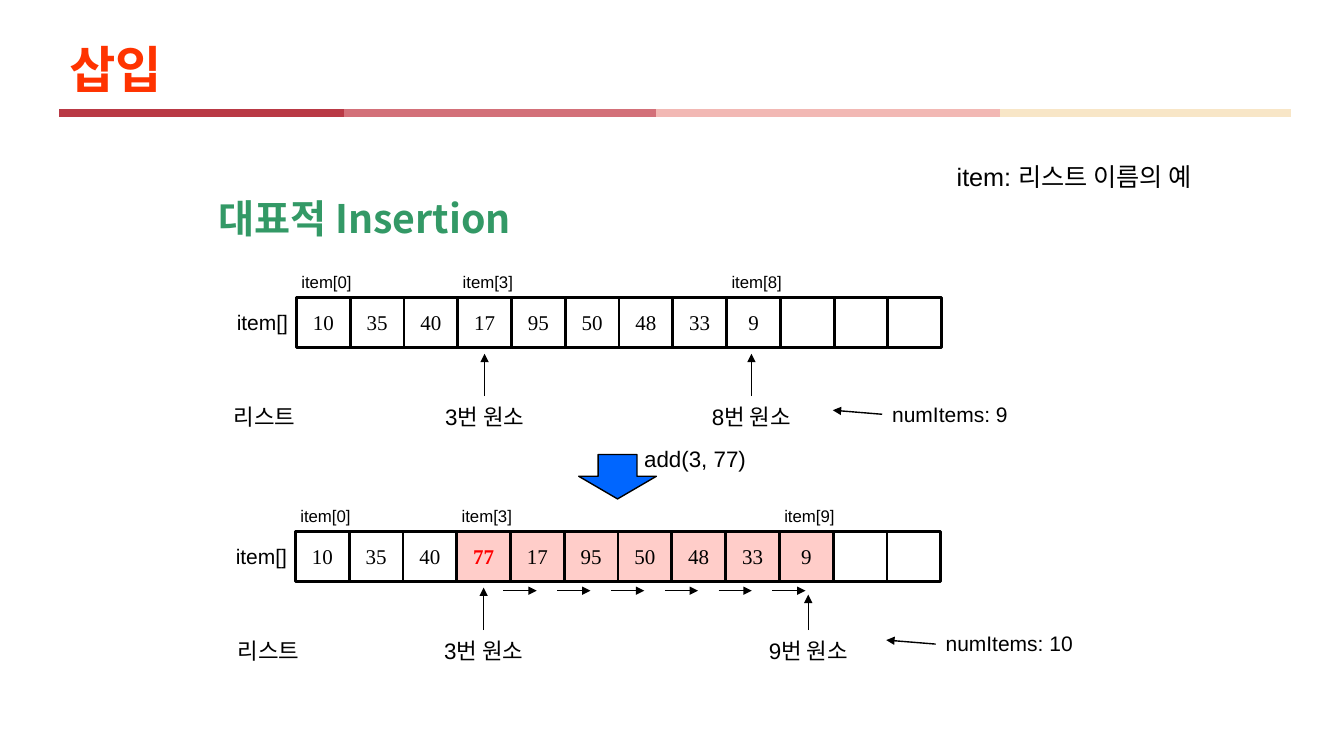
import pptx
import pptx.util
import pptx.dml.color
import pptx.enum.shapes
import pptx.enum.text
import pptx.oxml
import pptx.oxml.ns

Inches = pptx.util.Inches
Shape = pptx.enum.shapes.MSO_SHAPE
Align = pptx.enum.text.PP_ALIGN
Anchor = pptx.enum.text.MSO_ANCHOR
Fit = pptx.enum.text.MSO_AUTO_SIZE
Tag = pptx.oxml.ns.qn

HANGUL = "Noto Sans CJK KR"
BLACK = "000000"
PINK = "FFCDC9"
CELL = 6.4 / 12
CELL_TALL = 0.5
SLOTS = 12


def color(code):
    return pptx.dml.color.RGBColor.from_string(code)


def write(frame, text, size, name="Arial", ink=BLACK, bold=False, align=Align.LEFT):
    """Fill a text frame with one run, with a Korean font for its Hangul."""
    para = frame.paragraphs[0]
    para.alignment = align
    run = para.add_run()
    run.text = text
    style = {"size": pptx.util.Pt(size), "name": name, "bold": bold}
    for key, value in style.items():
        setattr(run.font, key, value)
    run.font.color.rgb = color(ink)
    face = pptx.oxml.parse_xml(
        f'<a:ea {pptx.oxml.ns.nsdecls("a")} typeface="{HANGUL}"/>')
    run.font.fill  # keeps the colour ahead of the fonts
    run.font._element.find(Tag("a:latin")).addnext(face)
    return para


def label(slide, text, left, top, wide, tall, size):
    frame = slide.shapes.add_textbox(
        Inches(left), Inches(top), Inches(wide), Inches(tall)).text_frame
    frame.word_wrap = False
    frame.auto_size = Fit.SHAPE_TO_FIT_TEXT
    write(frame, text, size)


def line(slide, start, end, ink=BLACK, width=1, arrow=True):
    link = slide.shapes.add_connector(
        pptx.enum.shapes.MSO_CONNECTOR.STRAIGHT,
        *[Inches(value) for value in (*start, *end)])
    link.line.color.rgb = color(ink)
    link.line.width = pptx.util.Pt(width)
    props = link._element.spPr
    if arrow:
        props.find(Tag("a:ln")).append(pptx.oxml.parse_xml(
            f'<a:tailEnd {pptx.oxml.ns.nsdecls("a")} type="triangle"/>'))
    props.append(pptx.oxml.parse_xml(
        f'<a:effectLst {pptx.oxml.ns.nsdecls("a")}/>'))


def block(slide, kind, left, top, wide, tall, fill=None, width=2):
    shape = slide.shapes.add_shape(
        kind, Inches(left), Inches(top), Inches(wide), Inches(tall))
    shape.shadow.inherit = False
    if fill:
        shape.fill.solid()
        shape.fill.fore_color.rgb = color(fill)
    else:
        shape.fill.background()
    shape.line.color.rgb = color(BLACK)
    shape.line.width = pptx.util.Pt(width)
    return shape


def header(slide, left, top, wide, tall):
    title = slide.shapes.title
    box = {"left": left, "top": top, "width": wide, "height": tall}
    for key, value in box.items():
        setattr(title, key, Inches(value))
    frame = title.text_frame
    style = {"vertical_anchor": Anchor.MIDDLE, "word_wrap": True,
             "auto_size": Fit.NONE}
    for key, value in style.items():
        setattr(frame, key, value)
    write(frame, "삽입", 36, HANGUL, "FF3300", True).line_spacing = 0.9
    rule = top + tall + 0.01
    for start, end, ink in ((3.1, 6.51, "D37079"), (6.51, 9.92, "F2B8B4"),
                            (9.92, 12.8, "F8E6C7"), (left, 3.41, "B93945")):
        line(slide, (start, rule), (end, rule), ink, 6, False)


def heading(slide, left, top, wide, tall):
    frame = slide.shapes.add_textbox(
        Inches(left), Inches(top), Inches(wide), Inches(tall)).text_frame
    frame.word_wrap = True
    write(frame, "대표적 Insertion", 28, HANGUL, "339966", True, Align.CENTER)


def cells(slide, left, top, values, moved, added):
    """Draw the slots; those in moved are tinted, the added one is red."""
    for slot in range(SLOTS):
        shape = block(slide, Shape.RECTANGLE, left + slot * CELL, top, CELL,
                      CELL_TALL, PINK if slot in moved else None)
        if slot < len(values):
            frame = shape.text_frame
            frame.vertical_anchor = Anchor.MIDDLE
            new = slot == added
            write(frame, str(values[slot]), 15, "Times New Roman",
                  "FF0000" if new else BLACK, new, Align.CENTER)


def array(slide, left, top, values, marks, list_gap, moved=(), added=None):
    """Draw one array; marks hold slot, sideways shift and arrow tip depth."""
    cells(slide, left, top, values, moved, added)
    label(slide, "item[]", left - 0.69, top + 0.07, 0.72, 0.35, 15)
    label(slide, "리스트", left - list_gap, top + 1, 0.88, 0.37, 16)
    for slot in (0, *[mark[0] for mark in marks]):
        label(slide, f"item[{slot}]", left + slot * CELL - 0.05, top - 0.3,
              0.71, 0.3, 12)
    for slot, shift, tip in marks:
        mid = left + (slot + 0.5) * CELL + shift
        label(slide, f"{slot}번 원소", mid - 0.49, top + 1, 1.06, 0.37, 16)
        line(slide, (mid, top + 0.98), (mid, top + tip))
    for slot in moved[1:]:
        start = left + slot * CELL - 0.07
        line(slide, (start, top + 0.59), (start + 0.33, top + 0.59))


def count(slide, left, top, wide, total):
    label(slide, f"numItems: {total}", left, top, wide, 0.35, 15)
    line(slide, (left, top + 0.18), (left - 0.49, top + 0.14))


def step(slide, left, top, wide, tall):
    arrow = block(slide, Shape.DOWN_ARROW, left, top, wide, tall, "0066FF", 1)
    arrow.adjustments[0] = 0.5
    arrow.adjustments[1] = 0.51
    label(slide, "add(3, 77)", left + 0.55, top - 0.14, 1.23, 0.37, 16)


def main():
    deck = pptx.Presentation()
    deck.slide_width = Inches(13.33)
    deck.slide_height = Inches(7.5)
    slide = deck.slides.add_slide(deck.slide_layouts[5])
    header(slide, 0.59, 0.32, 12.17, 0.79)
    label(slide, "item: 리스트 이름의 예", 9.39, 1.55, 2.73, 0.4, 18)
    heading(slide, 1.84, 1.88, 3.55, 0.56)
    before = [10, 35, 40, 17, 95, 50, 48, 33, 9]
    after = before[:3] + [77] + before[3:]
    array(slide, 2.94, 2.95, before, ((3, 0, 0.56), (8, -0.02, 0.56)), 0.72)
    count(slide, 8.75, 3.93, 1.36, len(before))
    step(slide, 5.74, 4.51, 0.77, 0.44)
    array(slide, 2.93, 5.27, after, ((3, 0, 0.56), (9, 0.02, 0.63)), 0.67,
          range(3, len(after)), 3)
    count(slide, 9.28, 6.21, 1.48, len(after))
    deck.save("out.pptx")


if __name__ == "__main__":
    main()
